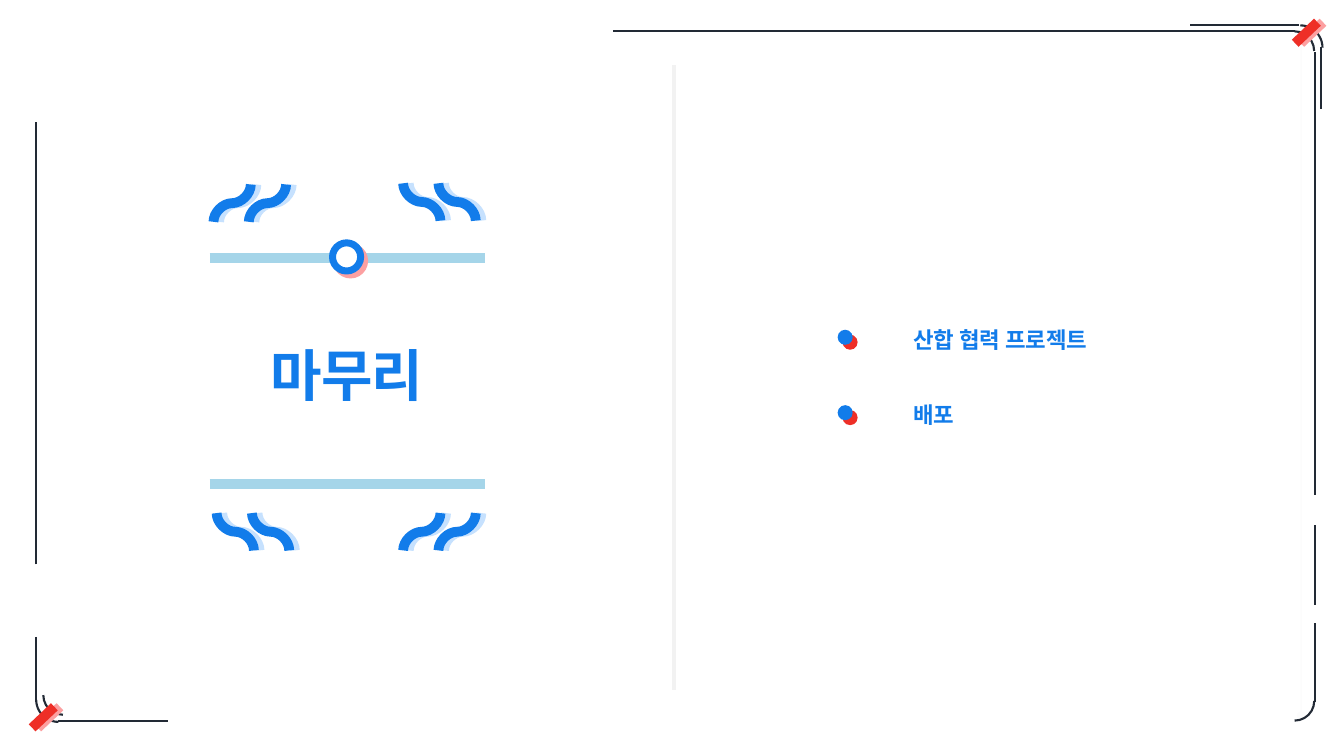
from dataclasses import dataclass

from lxml import etree
from pptx import Presentation
from pptx.dml.color import RGBColor
from pptx.enum.shapes import MSO_CONNECTOR, MSO_SHAPE
from pptx.enum.text import MSO_ANCHOR, PP_ALIGN
from pptx.oxml.ns import qn
from pptx.shapes.autoshape import Shape
from pptx.shapes.connector import Connector
from pptx.slide import Slide
from pptx.text.text import TextFrame
from pptx.util import Cm, Pt

STRAIGHT, CURVE = MSO_CONNECTOR.STRAIGHT, MSO_CONNECTOR.CURVE
ARC, OVAL = MSO_SHAPE.ARC, MSO_SHAPE.OVAL
CENTER, MIDDLE = PP_ALIGN.CENTER, MSO_ANCHOR.MIDDLE

BLUE, LIGHT_BLUE, PALE_BLUE = "127CEA", "A5D5E9", "C6E1FE"
RED, PINK = "EE2F27", "FCA0A1"
INK, GREY, WHITE = "222A35", "F2F2F2", "FFFFFF"
FONT = "Arial"
ANGLE_UNIT = 60000  # per degree
WAVE_SIZE, WAVE_STEP = 0.94, 0.89


@dataclass(frozen=True)
class Shadow:
    color: str
    distance: float
    direction: int = 0


@dataclass(frozen=True)
class Line:
    x1: float
    y1: float
    x2: float
    y2: float
    color: str = INK
    width: float = 1.5
    shadow: Shadow | None = None


@dataclass(frozen=True)
class Arc:
    left: float
    top: float
    size: float
    rotation: int = 0


@dataclass(frozen=True)
class WavePair:
    left: float
    top: float
    rising: bool


BARS = [Line(5.28, y, 12.22, y, LIGHT_BLUE, 7) for y in (6.5, 12.19)]
DIVIDER = Line(16.99, 1.65, 16.99, 17.4, GREY, 2.5)
FAINT_LINE = Line(32.79, 0.86, 32.79, 18.03, GREY, 1)
WAVE_PAIRS = [
    WavePair(10.16, 12.93, True),
    WavePair(5.38, 4.65, True),
    WavePair(10.16, 4.62, False),
    WavePair(5.46, 12.93, False),
]
FRAME_LINES = [
    Line(32.64, 0.79, 15.44, 0.79),
    Line(33.15, 12.47, 33.15, 1.3),
    Line(32.74, 0.64, 30, 0.64),
    Line(33.3, 2.74, 33.3, 1.19),
    Line(33.15, 15.24, 33.15, 13.23),
    Line(33.15, 17.7, 33.15, 15.7),
    Line(1.47, 18.16, 4.24, 18.16),
    Line(0.91, 16.05, 0.91, 17.63),
    Line(0.91, 14.22, 0.91, 3.07),
]
FRAME_ARCS = [
    Arc(32.13, 0.79, 0.99),
    Arc(32.21, 0.64, 1.12),
    Arc(32.13, 17.17, 0.99, 90),
    Arc(1.09, 17.02, 0.99, 180),
    Arc(0.91, 17.07, 1.12, 180),
]
SLASHES = [
    Line(33.2, 0.56, 32.64, 1.09, RED, 7, Shadow(PINK, 4)),
    Line(1.37, 17.81, 0.81, 18.34, RED, 7, Shadow(PINK, 4)),
]
TOPICS = ["산합 협력 프로젝트", "배포"]
DOT_TOPS = [8.31, 10.21]


def rgb(color: str) -> RGBColor:
    return RGBColor.from_string(color)


def set_shadow(shape: Shape | Connector, shadow: Shadow | None) -> None:
    """Add the effect list, left empty for no shadow; call after the line is set."""
    effects = etree.SubElement(shape.element.spPr, qn("a:effectLst"))
    if shadow:
        outer = etree.SubElement(
            effects, qn("a:outerShdw"), blurRad="0", dist=str(Pt(shadow.distance)),
            dir=str(shadow.direction * ANGLE_UNIT), algn="tl", rotWithShape="0")
        etree.SubElement(outer, qn("a:srgbClr"), val=shadow.color)


def add_line(slide: Slide, line: Line, kind: MSO_CONNECTOR = STRAIGHT) -> Connector:
    connector = slide.shapes.add_connector(
        kind, Cm(line.x1), Cm(line.y1), Cm(line.x2), Cm(line.y2))
    connector.line.color.rgb = rgb(line.color)
    connector.line.width = Pt(line.width)
    set_shadow(connector, line.shadow)
    return connector


def add_faint_line(slide: Slide) -> None:
    """Draw the nearly transparent line with round ends at the right edge."""
    outline = add_line(slide, FAINT_LINE).element.spPr.find(qn("a:ln"))
    color = outline.find(f"{qn('a:solidFill')}/{qn('a:srgbClr')}")
    etree.SubElement(color, qn("a:alpha"), val="22000")
    for end in ("a:headEnd", "a:tailEnd"):
        etree.SubElement(outline, qn(end), type="oval")


def add_wave_pair(slide: Slide, pair: WavePair) -> None:
    for left in (pair.left, pair.left + WAVE_STEP):
        wave = add_line(
            slide,
            Line(left, pair.top, left + WAVE_SIZE, pair.top + WAVE_SIZE,
                 BLUE, 7, Shadow(PALE_BLUE, 4)),
            CURVE)
        transform = wave.element.spPr.find(qn("a:xfrm"))
        transform.set("rot", str((90 if pair.rising else 270) * ANGLE_UNIT))
        if not pair.rising:
            transform.set("flipH", "1")


def add_circle(slide: Slide, left: float, top: float, size: float, fill: str,
               shadow: Shadow, outline: str | None = None) -> None:
    circle = slide.shapes.add_shape(OVAL, Cm(left), Cm(top), Cm(size), Cm(size))
    circle.fill.solid()
    circle.fill.fore_color.rgb = rgb(fill)
    if outline:
        circle.line.color.rgb = rgb(outline)
        circle.line.width = Pt(5)
    else:
        circle.line.fill.background()
    set_shadow(circle, shadow)


def add_arc(slide: Slide, arc: Arc) -> None:
    shape = slide.shapes.add_shape(
        ARC, Cm(arc.left), Cm(arc.top), Cm(arc.size), Cm(arc.size))
    shape.rotation = arc.rotation
    shape.fill.background()
    shape.line.color.rgb = rgb(INK)
    shape.line.width = Pt(1.5)
    set_shadow(shape, None)


def add_text(slide: Slide, left: float, top: float, width: float, height: float,
             lines: list[str], size: float) -> TextFrame:
    frame = slide.shapes.add_textbox(
        Cm(left), Cm(top), Cm(width), Cm(height)).text_frame
    frame.word_wrap = True
    frame.vertical_anchor = MIDDLE
    frame.text = "\n".join(lines)
    for paragraph in frame.paragraphs:
        paragraph.line_spacing = 0.9
        paragraph.font.name = FONT
        paragraph.font.size = Pt(size)
        paragraph.font.bold = True
        paragraph.font.color.rgb = rgb(BLUE)
    return frame


def add_title(slide: Slide) -> None:
    frame = add_text(slide, 5.28, 8.74, 6.93, 1.57, ["마무리"], 40)
    frame.margin_left = frame.margin_right = frame.margin_top = frame.margin_bottom = 0
    paragraph = frame.paragraphs[0]
    paragraph.alignment = CENTER
    paragraph.runs[0].font.size = Pt(40)
    paragraph.runs[0]._r.get_or_add_rPr().set("spc", "-60")


def main() -> None:
    presentation = Presentation()
    presentation.slide_width, presentation.slide_height = Cm(33.87), Cm(19.05)
    slide = presentation.slides.add_slide(presentation.slide_layouts[6])
    for bar in BARS:
        add_line(slide, bar)
    add_circle(slide, 8.38, 6.12, 0.71, WHITE, Shadow(PINK, 4, 45), BLUE)
    add_faint_line(slide)
    for pair in WAVE_PAIRS:
        add_wave_pair(slide, pair)
    add_line(slide, DIVIDER)
    for arc in FRAME_ARCS:
        add_arc(slide, arc)
    for line in FRAME_LINES:
        add_line(slide, line)
    add_title(slide)
    topics = add_text(slide, 22.76, 4.75, 7.44, 9.58, TOPICS, 16)
    topics.paragraphs[1].space_before = Pt(36)
    for slash in SLASHES:
        add_line(slide, slash)
    for top in DOT_TOPS:
        add_circle(slide, 21.11, top, 0.38, BLUE, Shadow(RED, 5, 45))
    presentation.save("out.pptx")


if __name__ == "__main__":
    main()
